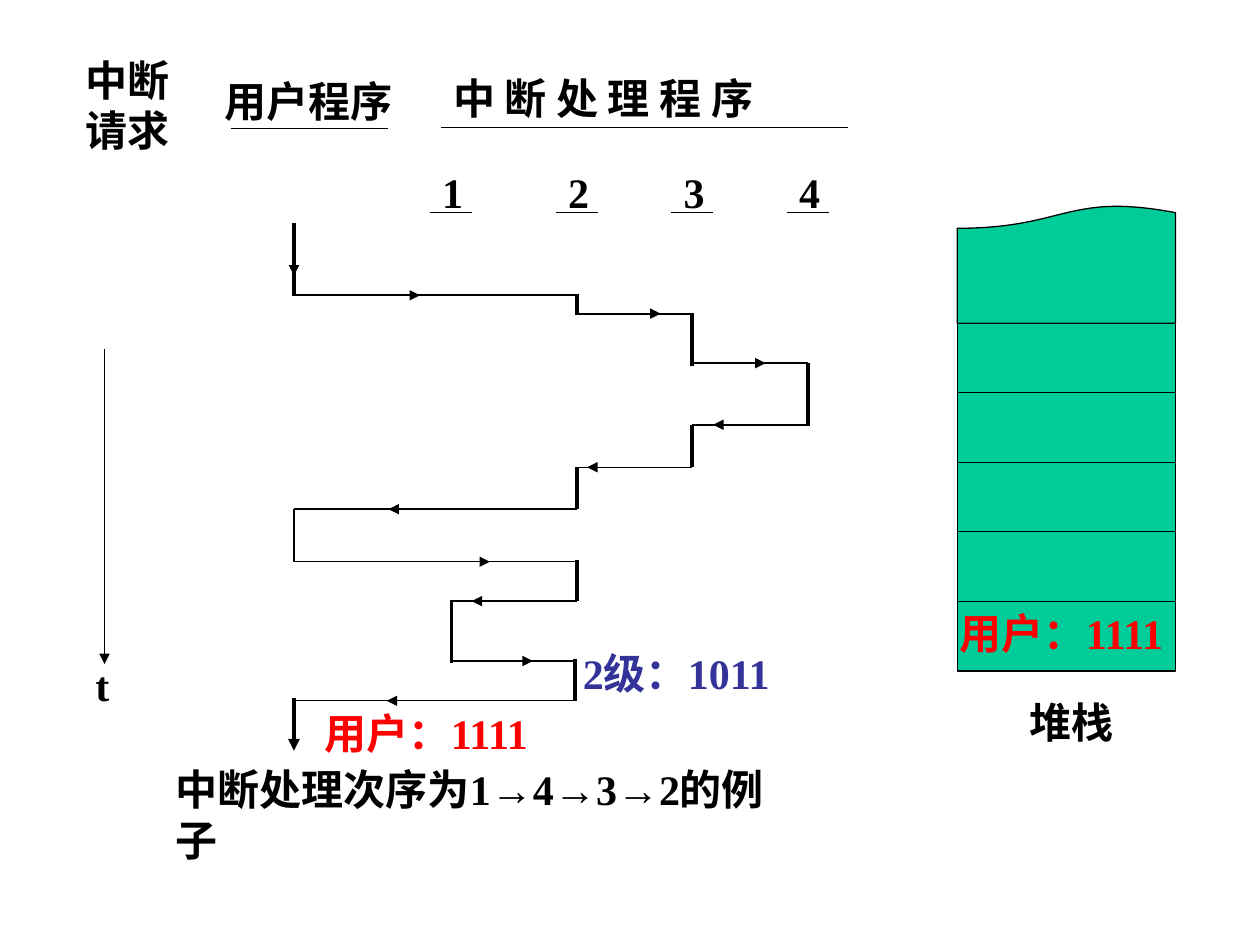
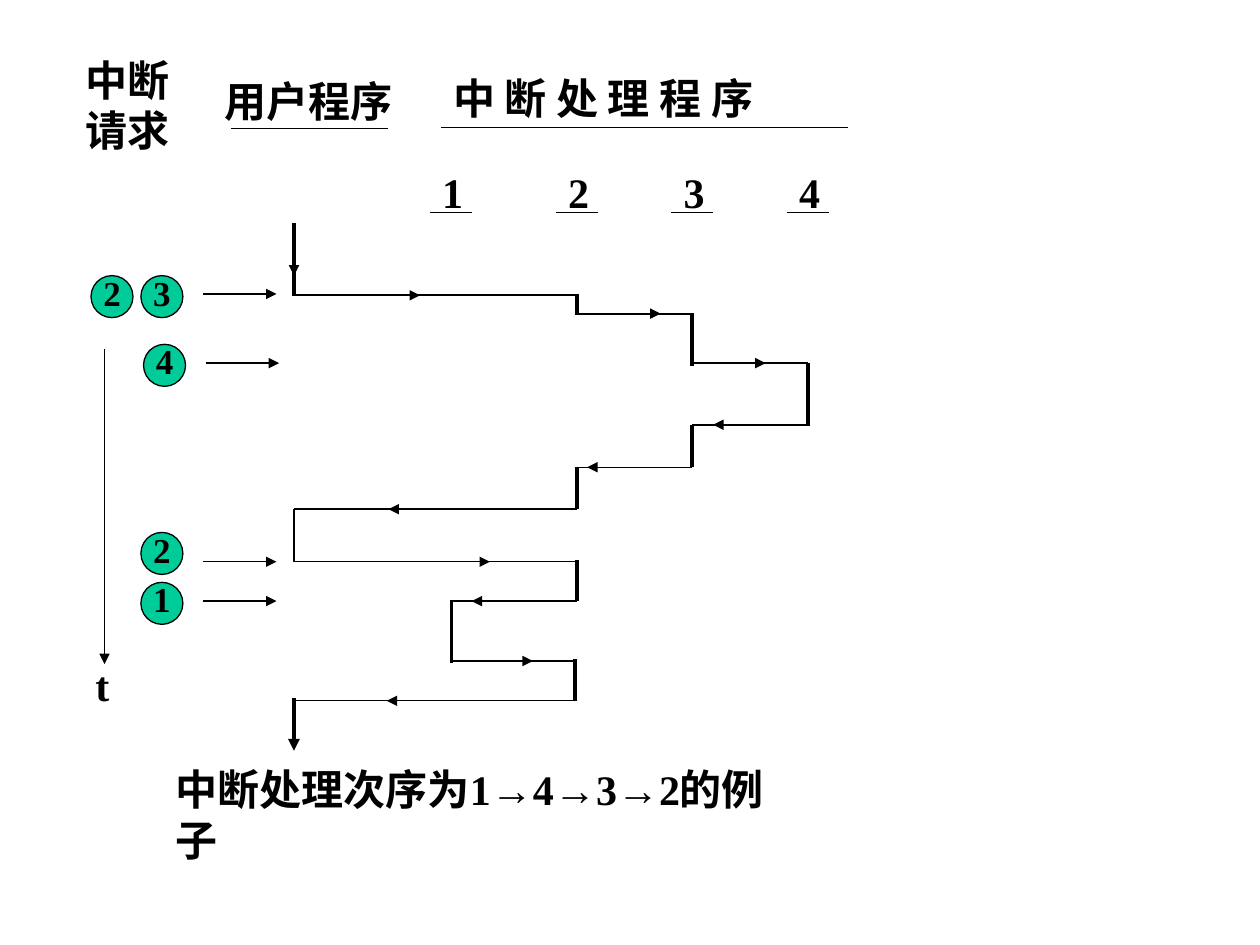
"""Build two slides that trace nested interrupts through their handlers."""
from dataclasses import dataclass
from typing import NamedTuple

from lxml.etree import SubElement
from pptx import Presentation
from pptx.dml.color import RGBColor
from pptx.enum.shapes import MSO_CONNECTOR as Conn, MSO_SHAPE as Kind
from pptx.enum.text import MSO_AUTO_SIZE as Fit
from pptx.oxml.ns import qn
from pptx.slide import Slide
from pptx.util import Pt


@dataclass(frozen=True)
class Theme:
    """Colours, fonts, type sizes and line widths."""
    ink: str = "000000"
    green: str = "00CC99"
    red: str = "FF0000"
    blue: str = "333399"
    serif: str = "Times New Roman"
    sans: str = "Arial"
    han: str = "Noto Sans CJK SC"
    body: float = 24
    small: float = 20
    thin: float = 0.75
    mid: float = 1
    thick: float = 2.25


T = Theme()


class Line(NamedTuple):
    """A straight line, with an arrowhead at its end if asked."""
    x1: float
    y1: float
    x2: float
    y2: float
    width: float = T.thin
    arrow: bool = False


class Label(NamedTuple):
    """A bold text in its box."""
    text: str
    x: float
    y: float
    w: float
    h: float = 36
    color: str = T.ink
    font: str = T.serif
    size: float = T.body
    wrap: bool = True


class Bar(NamedTuple):
    """A span of time during which one program runs."""
    x: float
    top: float
    end: float
    width: float = T.thick
    arrow: bool = False


class Hop(NamedTuple):
    """A switch between programs, with a short arrow on it."""
    y: float
    x1: float
    x2: float
    tail: float
    head: float
    width: float = T.thin


class Call(NamedTuple):
    """An interrupt request: numbered discs and an arrow."""
    discs: str
    x: float
    top: float
    y: float


USER, ONE, TWO, THREE, FOUR = 168, 258, 329.5, 395.5, 461.5

HEADS = [
    Label("用户程序", 121.5, 39.5, 138),
    Label("中 断 处 理 程 序", 252, 38, 255, font=T.han),
    Label("中断\n请求", 42, 27.5, 85.5, 65),
    Label("t", 47.5, 373.5, 22.5, wrap=False),
    Label("中断处理次序为1→4→3→2的例子", 93.5, 433, 373.5),
]
RULES = [
    Line(132, 73.5, 222, 73.5),
    Line(252, 72.75, 484.5, 72.75),
    Line(59.75, 199.5, 59.75, 379.5, arrow=True),
    Line(USER, 133, USER, 157.5, arrow=True),
]
LEVELS = {"1": 245.5, "2": 317.5, "3": 383.5, "4": 449.5}
BARS = [
    Bar(USER, 127.5, 169),
    Bar(TWO, 168, 180),
    Bar(THREE, 178.75, 209),
    Bar(FOUR, 207.5, 243.5),
    Bar(THREE, 242.75, 267),
    Bar(TWO, 267, 291),
    Bar(USER, 291, 321, T.thin),
    Bar(TWO, 320, 343.5),
    Bar(ONE, 342.75, 378.75),
    Bar(TWO - 1, 376.5, 400.5),
    Bar(USER, 399, 429, arrow=True),
]
HOPS = [
    Hop(168.75, USER, TWO, 168, 240, T.mid),
    Hop(179.25, TWO, THREE, 348, 377.5, T.mid),
    Hop(207.5, THREE, FOUR, 413.5, 437.5, T.mid),
    Hop(242.75, FOUR, THREE, 443.5, 407.5, T.mid),
    Hop(267, THREE, TWO, 371.5, 335.5),
    Hop(291, TWO, USER, 269.5, 222, T.mid),
    Hop(321, USER, TWO, 250, 280),
    Hop(343.5, TWO, ONE, 305.5, 269.5),
    Hop(377.75, ONE, TWO - 2, 268.5, 304.5),
    Hop(400.5, TWO, USER, 269.5, 221),
]
CALLS = [
    Call("23", 52, 157.5, 168),
    Call("4", 82, 196.75, 207.5),
    Call("2", 80.5, 304.25, 321),
    Call("1", 80.5, 332.75, 343.5),
]
NOTES = [
    Label("用户：1111", 178.5, 400.5, 193, color=T.red),
    Label("用户：1111", 541.5, 343.75, 164, color=T.red),
    Label("2级：1011", 326, 366.5, 158.5, color=T.blue),
    Label("堆栈", 581, 394.5, 76.5, font=T.sans),
]


def draw(slide: Slide, line: Line) -> None:
    """Draw one straight line."""
    ends = map(Pt, (line.x1, line.y1, line.x2, line.y2))
    wire = slide.shapes.add_connector(Conn.STRAIGHT, *ends)
    wire.line.width = Pt(line.width)
    wire.line.color.rgb = RGBColor.from_string(T.ink)
    props = wire._element.spPr
    if line.arrow:
        SubElement(props.find(qn("a:ln")), qn("a:tailEnd"), type="triangle")
    SubElement(props, qn("a:effectLst"))


def write(slide: Slide, label: Label) -> None:
    """Place one text box."""
    place = map(Pt, (label.x, label.y, label.w, label.h))
    frame = slide.shapes.add_textbox(*place).text_frame
    frame.word_wrap = label.wrap
    frame.auto_size = Fit.SHAPE_TO_FIT_TEXT
    frame.text = label.text
    for para in frame.paragraphs:
        font = para.font
        font.name, font.size, font.bold = label.font, Pt(label.size), True
        font.color.rgb = RGBColor.from_string(label.color)


def block(slide: Slide, kind: Kind, x: float, y: float,
          w: float, h: float, turn: float = 0) -> None:
    """Add a green shape with a thin outline."""
    shape = slide.shapes.add_shape(kind, *map(Pt, (x, y, w, h)))
    shape.rotation = turn
    shape.shadow.inherit = False
    shape.fill.solid()
    shape.fill.fore_color.rgb = RGBColor.from_string(T.green)
    shape.line.color.rgb = RGBColor.from_string(T.ink)
    shape.line.width = Pt(T.thin)


def trace(slide: Slide) -> None:
    """Draw the headings and the run of programs over time."""
    for label in HEADS:
        write(slide, label)
    for rule in RULES:
        draw(slide, rule)
    for name, x in LEVELS.items():
        write(slide, Label(name, x, 91.5, 26.5, wrap=False))
        draw(slide, Line(x, 121.5, x + 24, 121.5))
    for bar in BARS:
        draw(slide, Line(bar.x, bar.top, bar.x, bar.end, bar.width, bar.arrow))
    for hop in HOPS:
        draw(slide, Line(hop.x1, hop.y, hop.x2, hop.y, hop.width))
        draw(slide, Line(hop.tail, hop.y, hop.head, hop.y, hop.width, True))


def stack(slide: Slide) -> None:
    """Draw the stack with its cells and torn top."""
    left, wide, top, cell = 547, 124.75, 184.75, 39.7
    block(slide, Kind.RECTANGLE, left, 145.5, wide, 238)
    block(slide, Kind.FLOWCHART_DOCUMENT, left, 117, wide, top - 117, 180)
    for row in range(1, 5):
        y = top + row * cell
        draw(slide, Line(left, y, left + wide, y))


def calls(slide: Slide) -> None:
    """Draw the interrupt requests."""
    for call in CALLS:
        for i, name in enumerate(call.discs):
            x = call.x + i * 28.5
            block(slide, Kind.OVAL, x, call.top, 24, 24)
            write(slide, Label(name, x, call.top - 6, 24.5, 31,
                               size=T.small, wrap=False))
        tail = x + 35.5
        draw(slide, Line(tail, call.y, tail + 42, call.y, arrow=True))


def main() -> None:
    """Build both slides and save them."""
    deck = Presentation()
    deck.slide_width, deck.slide_height = Pt(720), Pt(540)
    first, second = (deck.slides.add_slide(deck.slide_layouts[6])
                     for _ in range(2))
    stack(first)
    trace(first)
    for note in NOTES:
        write(first, note)
    trace(second)
    calls(second)
    deck.save("out.pptx")


if __name__ == "__main__":
    main()
